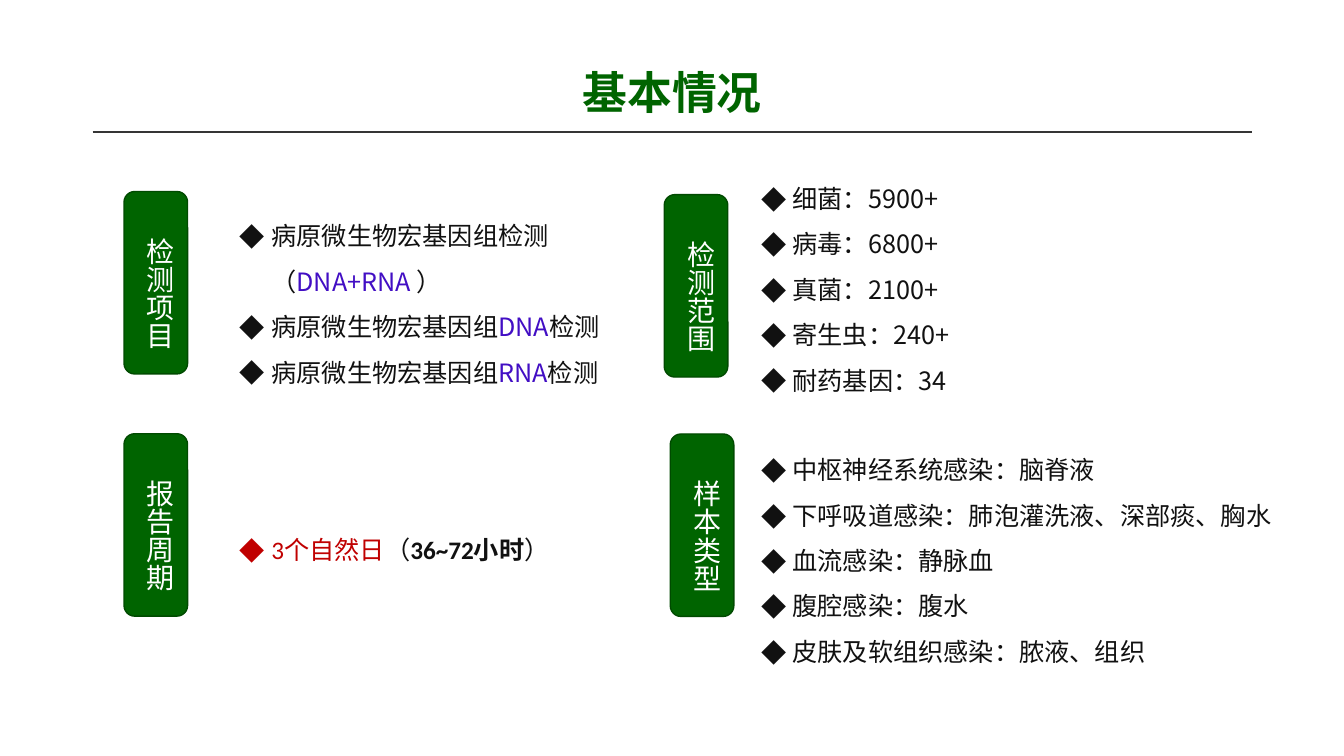
from lxml.etree import SubElement
from pptx import Presentation
from pptx.dml.color import RGBColor
from pptx.enum.shapes import MSO_CONNECTOR as Connector, MSO_SHAPE as Shape
from pptx.enum.text import MSO_ANCHOR as Anchor, MSO_AUTO_SIZE as AutoSize, PP_ALIGN as Align
from pptx.oxml.ns import qn
from pptx.util import Pt

GREEN, DARK_GREEN, INK = "006400", "004A00", "111111"
VIOLET, RED, RULE, WHITE = "420EC4", "C00000", "353535", "FFFFFF"
LATIN, CJK = "Calibri", "Noto Sans CJK SC"


def color(hex_value):
    """Return the colour for a hex string."""
    return RGBColor.from_string(hex_value)


def place(part, left, top, width, height):
    """Move a part to a box given in points."""
    part.left, part.top = Pt(left), Pt(top)
    part.width, part.height = Pt(width), Pt(height)


def add_run(paragraph, text, size, hex_value, font=LATIN, bold=False):
    """Append one formatted run."""
    run = paragraph.add_run()
    run.text = text
    run.font.size, run.font.bold, run.font.name = Pt(size), bold, font
    run.font.color.rgb = color(hex_value)
    SubElement(run.font._element, qn("a:ea"), typeface=CJK)


def add_header(slide, text, left, top, width, height):
    """Fill the title and rule off its lower edge."""
    title = slide.shapes.title
    place(title, left, top, width, height)
    frame = title.text_frame
    frame.vertical_anchor = Anchor.MIDDLE
    heading = frame.paragraphs[0]
    heading.alignment, heading.line_spacing = Align.CENTER, 1.2
    add_run(heading, text, 32, GREEN, bold=True)
    bottom = Pt(top + height)
    rule = slide.shapes.add_connector(
        Connector.STRAIGHT, Pt(left), bottom, Pt(left + width), bottom)
    rule.line.color.rgb, rule.line.width = color(RULE), Pt(1.5)
    SubElement(rule._element.spPr, qn("a:effectLst"))


def add_badge(slide, label, left, top):
    """Draw a green badge with its vertical label."""
    badge = slide.shapes.add_shape(
        Shape.ROUNDED_RECTANGLE, Pt(left), Pt(top), Pt(45.4), Pt(130.3))
    badge.shadow.inherit = False
    badge.fill.solid()
    badge.fill.fore_color.rgb = color(GREEN)
    badge.line.color.rgb, badge.line.width = color(DARK_GREEN), Pt(1)
    caption = slide.shapes.add_textbox(Pt(left + 2.2), Pt(top + 26), Pt(38.9), Pt(87.8))
    frame = caption.text_frame
    frame.word_wrap, frame.auto_size = False, AutoSize.SHAPE_TO_FIT_TEXT
    frame._txBody.bodyPr.set("vert", "eaVert")
    add_run(frame.paragraphs[0], label, 20, WHITE)


def fill_list(body, items, font, left, top, width, height):
    """Fill a body placeholder with diamond-bulleted items."""
    place(body, left, top, width, height)
    frame = body.text_frame
    frame.word_wrap, frame.auto_size = True, AutoSize.SHAPE_TO_FIT_TEXT
    frame.vertical_anchor = Anchor.TOP
    for index, item in enumerate(items):
        entry = frame.add_paragraph() if index else frame.paragraphs[0]
        properties = entry._p.get_or_add_pPr()
        properties.set("marL", str(Pt(22.5)))
        properties.set("indent", str(Pt(-22.5)))
        SubElement(properties, qn("a:buFont"), typeface=CJK)
        SubElement(properties, qn("a:buChar"), char="◆")
        entry.line_spacing, entry.space_before = 1.5, Pt(0)
        for text, hex_value, bold in item:
            add_run(entry, text, 18, hex_value, font, bold)


def plain(*lines):
    """Turn lines into single-run items."""
    return [[(line, INK, False)] for line in lines]


def main():
    """Build and save the slide."""
    deck = Presentation()
    deck.slide_width, deck.slide_height = Pt(960), Pt(540)
    slide = deck.slides.add_slide(deck.slide_layouts.get_by_name("Comparison"))
    add_header(slide, "基本情况", 66.2, 28.8, 828, 65.5)

    tests = [
        [("病原微生物宏基因组检测（", INK, False), ("DNA+RNA", VIOLET, False), (" ）", INK, False)],
        *([("病原微生物宏基因组", INK, False), (acid, VIOLET, False), ("检测", INK, False)]
          for acid in ("DNA", "RNA")),
    ]
    turnaround = [[("3个自然日", RED, False), ("（", INK, False),
                   ("36~72小时", INK, True), ("）", INK, False)]]
    ranges = plain("细菌：5900+", "病毒：6800+", "真菌：2100+", "寄生虫：240+", "耐药基因：34")
    samples = plain("中枢神经系统感染：脑脊液", "下呼吸道感染：肺泡灌洗液、深部痰、胸水",
                    "血流感染：静脉血", "腹腔感染：腹水", "皮肤及软组织感染：脓液、组织")
    sections = [
        ("检测项目", (88.6, 136.8), tests, CJK, (164.2, 143.3, 276.5, 138.2)),
        ("检测范围", (474.5, 139), ranges, CJK, (536.4, 116.6, 249.1, 170.6)),
        ("报告周期", (88.6, 309.8), turnaround, LATIN, (164.2, 367.2, 249.1, 40.3)),
        ("样本类型", (478.8, 310), samples, CJK, (536.4, 310.3, 389.5, 170.6)),
    ]
    bodies = [part for part in slide.placeholders if part.placeholder_format.idx in range(1, 5)]
    for body, (label, corner, items, font, box) in zip(bodies, sections):
        add_badge(slide, label, *corner)
        fill_list(body, items, font, *box)
    deck.save("out.pptx")


if __name__ == "__main__":
    main()
